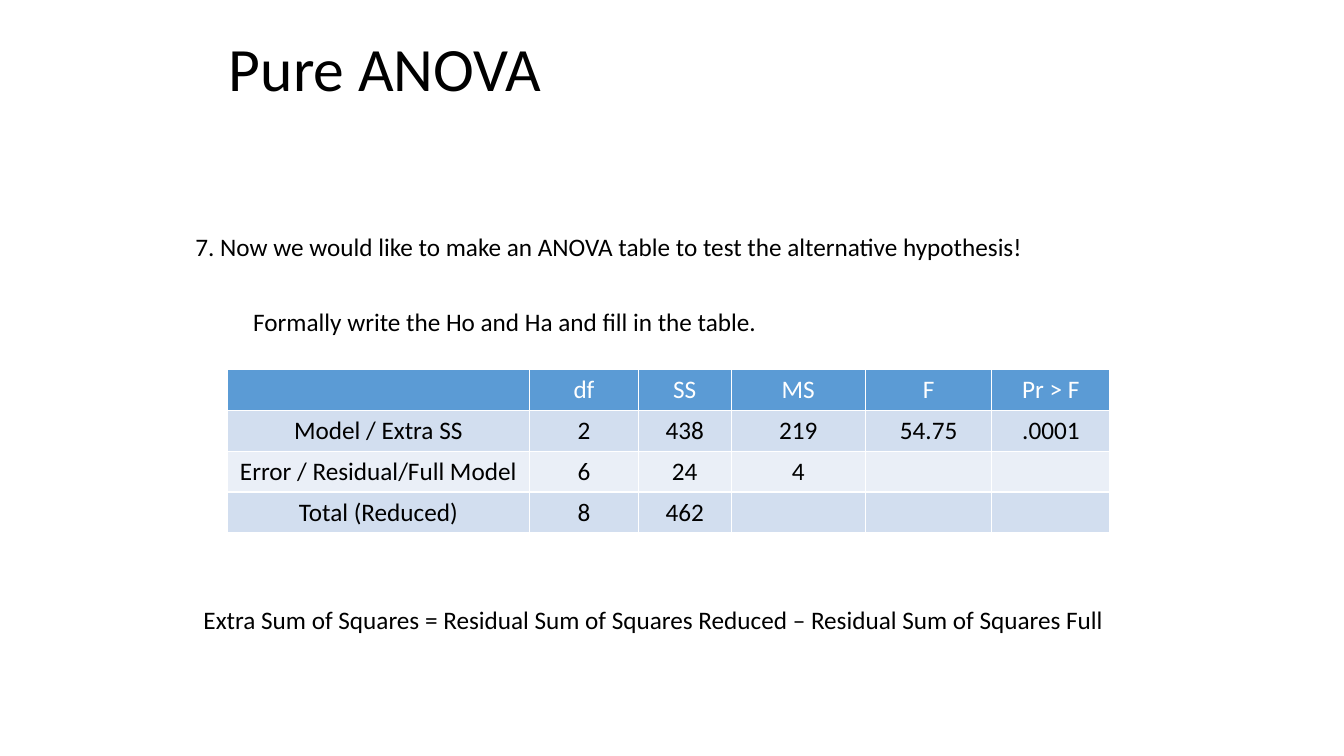
import dataclasses

import pptx
import pptx.dml.color
import pptx.enum.text
import pptx.util


@dataclasses.dataclass(frozen=True)
class Theme:
    """Colours, font and type sizes of the slide."""
    font: str = "Calibri"
    ink: str = "000000"
    header_ink: str = "FFFFFF"
    header_fill: str = "5B9BD5"
    bands: tuple = ("D2DEEF", "EAEFF7")
    title_size: int = 44
    body_size: int = 18


THEME = Theme()
WIDTH, HEIGHT = 13.33, 7.5
ROW_HEIGHT = 0.054
COLUMN_SHARES = (0.225, 0.081, 0.069, 0.1, 0.094, 0.088)
ANOVA_ROWS = (
    ("", "df", "SS", "MS", "F", "Pr > F"),
    ("Model / Extra SS", "2", "438", "219", "54.75", ".0001"),
    ("Error / Residual/Full Model", "6", "24", "4", "", ""),
    ("Total (Reduced)", "8", "462", "", "", ""),
)
BODY_LINES = (
    (0.138, 0.299, 0.7,
     "7. Now we would like to make an ANOVA table to test the alternative hypothesis!"),
    (0.181, 0.399, 0.563, "Formally write the Ho and Ha and fill in the table."),
    (0.144, 0.793, 0.7,
     "Extra Sum of Squares = Residual Sum of Squares Reduced – Residual Sum of Squares Full"),
)


def across(share):
    """Return a share of the slide's width as a length."""
    return pptx.util.Inches(WIDTH * share)


def down(share):
    """Return a share of the slide's height as a length."""
    return pptx.util.Inches(HEIGHT * share)


def colour(code):
    """Return the colour for a hexadecimal code."""
    return pptx.dml.color.RGBColor.from_string(code)


def style_text(frame, size, ink):
    """Format every run in a text frame."""
    for para in frame.paragraphs:
        for span in para.runs:
            span.font.name = THEME.font
            span.font.size = pptx.util.Pt(size)
            span.font.bold = False
            span.font.color.rgb = colour(ink)


def add_text(page, left, top, width, height, text, size):
    """Add a wrapped text box placed by shares of the slide."""
    box = page.shapes.add_textbox(across(left), down(top), across(width), down(height))
    frame = box.text_frame
    frame.word_wrap = True
    frame.text = text
    style_text(frame, size, THEME.ink)
    return frame


def add_title(page, text):
    """Add the slide title, centred vertically in its box."""
    frame = add_text(page, 0.163, 0.011, 0.675, 0.167, text, THEME.title_size)
    frame.vertical_anchor = pptx.enum.text.MSO_ANCHOR.MIDDLE
    frame.paragraphs[0].line_spacing = 0.9


def fill_cell(cell, text, fill, ink):
    """Set the fill and the centred text of one table cell."""
    cell.fill.solid()
    cell.fill.fore_color.rgb = colour(fill)
    cell.text_frame.text = text
    cell.text_frame.paragraphs[0].alignment = pptx.enum.text.PP_ALIGN.CENTER
    style_text(cell.text_frame, THEME.body_size, ink)


def add_anova_table(page, left, top):
    """Add the ANOVA table with a header and alternating bands."""
    table = page.shapes.add_table(
        len(ANOVA_ROWS), len(COLUMN_SHARES), across(left), down(top),
        across(sum(COLUMN_SHARES)), down(ROW_HEIGHT * len(ANOVA_ROWS))).table
    for column, share in zip(table.columns, COLUMN_SHARES):
        column.width = across(share)
    for index, (row, texts) in enumerate(zip(table.rows, ANOVA_ROWS)):
        row.height = down(ROW_HEIGHT)
        fill = THEME.bands[(index - 1) % 2] if index else THEME.header_fill
        ink = THEME.ink if index else THEME.header_ink
        for cell, text in zip(row.cells, texts):
            fill_cell(cell, text, fill, ink)


def main():
    """Build the slide and save the deck."""
    deck = pptx.Presentation()
    deck.slide_width, deck.slide_height = across(1), down(1)
    page = deck.slides.add_slide(deck.slide_layouts[6])
    add_title(page, "Pure ANOVA")
    add_anova_table(page, 0.169, 0.489)
    for left, top, width, text in BODY_LINES:
        add_text(page, left, top, width, ROW_HEIGHT, text, THEME.body_size)
    deck.save("out.pptx")


main()
